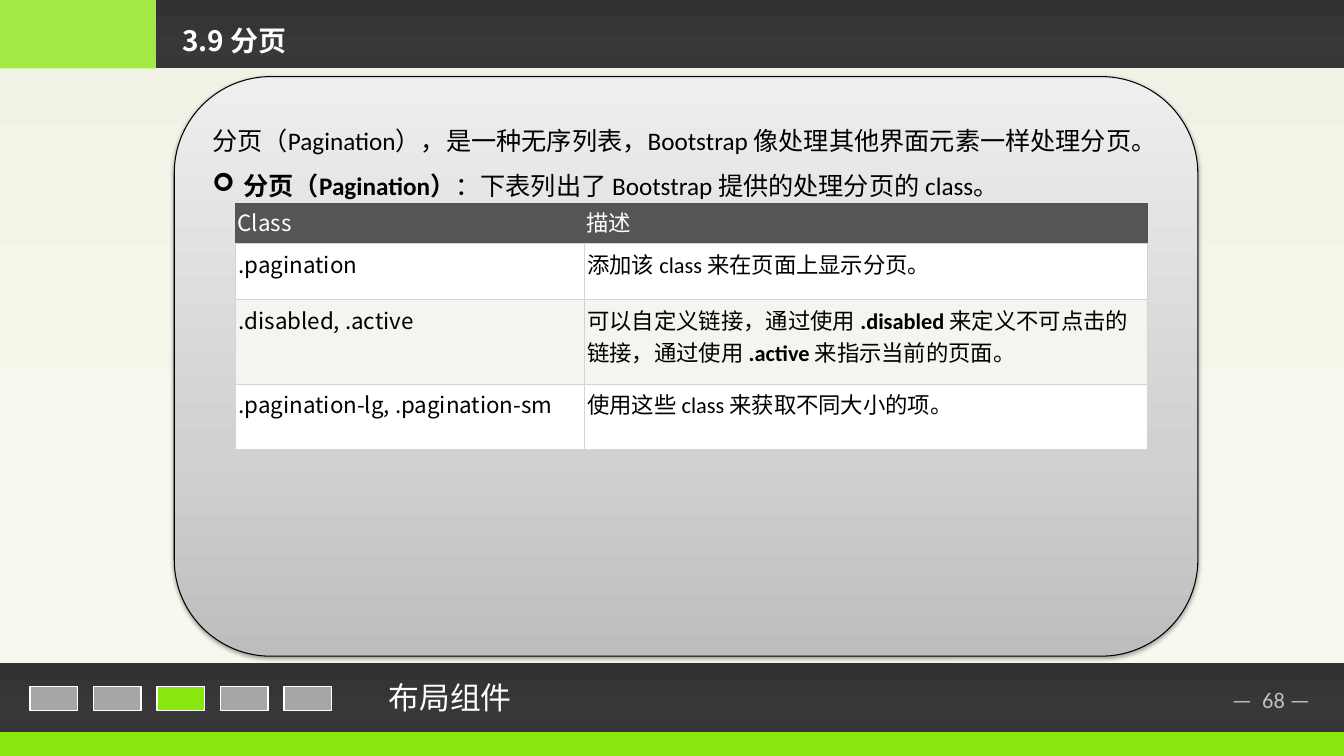
from pptx import Presentation
from pptx.dml.color import RGBColor
from pptx.enum.shapes import MSO_SHAPE
from pptx.enum.text import MSO_ANCHOR, PP_ALIGN
from pptx.oxml import parse_xml
from pptx.oxml.ns import nsdecls
from pptx.util import Inches, Pt
from lxml.etree import SubElement

NS = nsdecls("a")
A = "{http://schemas.openxmlformats.org/drawingml/2006/main}"
CALI, NOTO = "Calibri", "Noto Sans CJK SC"
LIME, GREY, WHITE, BLACK = "88E70F", "A6A6A6", "FFFFFF", "000000"
DARK = [(0, "333134"), (74, "39373A"), (83, "373538"), (100, "363436")]
CREAM = [(0, "F1F1E5"), (74, "F7F7ED"), (83, "F8F8EE"), (100, "F9F9EF")]
STEEL = [(0, "BDBDBD"), (35, "D1D1D1"), (100, "EEEEEE")]

prs = Presentation()
prs.slide_width, prs.slide_height = Inches(13.34), Inches(7.5)
slide = prs.slides.add_slide(prs.slide_layouts[6])


def block(at, fill, kind=MSO_SHAPE.RECTANGLE, angle=90, line=None, width=1.2):
    shape = slide.shapes.add_shape(kind, *map(Inches, at))
    shape.shadow.inherit = False
    if isinstance(fill, list):
        stops = "".join(f'<a:gs pos="{pos * 1000}"><a:srgbClr val="{tone}"/></a:gs>' for pos, tone in fill)
        grad = parse_xml(f'<a:gradFill {NS} rotWithShape="1"><a:gsLst>{stops}</a:gsLst>'
                         f'<a:lin ang="{angle * 60000}" scaled="0"/></a:gradFill>')
        shape._element.spPr.find(A + "prstGeom").addnext(grad)
    else:
        shape.fill.solid()
        shape.fill.fore_color.rgb = RGBColor.from_string(fill)
    if line:
        shape.line.color.rgb = RGBColor.from_string(line)
        shape.line.width = Pt(width)
    else:
        shape.line.fill.background()
    return shape


def write(para, text, size=16, font=NOTO, color=BLACK, bold=False):
    run = para.add_run()
    run.text = text
    run.font.size, run.font.bold, run.font.name = Pt(size), bold, font
    run.font.color.rgb = RGBColor.from_string(color)
    SubElement(run.font._element, A + "ea", typeface=NOTO)


block((0, 0, 13.34, 6.58), CREAM)
block((0, 7.26, 13.34, 0.24), LIME)
block((0, 6.58, 13.34, 0.68), DARK)
corner = block((0, 0, 1.55, 0.68), LIME)
tint = corner._element.spPr.find(f"{A}solidFill/{A}srgbClr")
SubElement(tint, A + "alpha", val="74000")
block((1.55, 0, 11.79, 0.68), DARK)

for step in range(5):
    block((0.3 + step * 0.63, 6.81, 0.47, 0.24), LIME if step == 2 else GREY, line=WHITE)

panel = block((1.73, 0.76, 10.16, 5.75), STEEL, MSO_SHAPE.FLOWCHART_ALTERNATE_PROCESS, 270, BLACK, 0.75)
panel._element.spPr.find(A + "effectLst").append(parse_xml(
    f'<a:outerShdw {NS} blurRad="40000" dist="20000" dir="5400000" rotWithShape="0">'
    '<a:srgbClr val="000000"><a:alpha val="38000"/></a:srgbClr></a:outerShdw>'))
frame = panel.text_frame
frame.word_wrap = True
frame.vertical_anchor = MSO_ANCHOR.TOP
intro, point = frame.paragraphs[0], frame.add_paragraph()
for para in (intro, point):
    para.alignment = PP_ALIGN.LEFT
    para.line_spacing = 1.5
props = point._p.get_or_add_pPr()
props.set("marL", str(Inches(0.31)))
props.set("indent", str(Inches(-0.31)))
SubElement(props, A + "buFont", typeface="Wingdings")
SubElement(props, A + "buChar", char="➢")
write(intro, "分页（Pagination），是一种无序列表，Bootstrap 像处理其他界面元素一样处理分页。", size=18, font=CALI)
write(point, "分页（Pagination）", size=18, font=CALI, bold=True)
write(point, "：下表列出了 Bootstrap 提供的处理分页的 class。", size=18, font=CALI)

labels = [
    ((1.71, 0.18, 4.09, 0.44), "3.9 分页", True, dict(size=20, color=WHITE, bold=True)),
    ((3.76, 6.68, 4.27, 0.47), "布局组件", True, dict(size=22, color=WHITE)),
    ((12.13, 6.76, 1.07, 0.37), "—  68 —", False, dict(font=CALI, color="BFBFBF")),
]
for at, text, wrap, style in labels:
    label = slide.shapes.add_textbox(*map(Inches, at)).text_frame
    label.word_wrap = wrap
    write(label.paragraphs[0], text, **style)

LATIN, STRONG = dict(font=CALI), dict(font=CALI, bold=True)
rows = [
    (0.4, "555555", [("Class", {})], [("描述", {})]),
    (0.55, WHITE, [(".pagination", {})],
     [("添加该 ", {}), ("class ", LATIN), ("来在页面上显示分页。", {})]),
    (0.84, "F6F4F0", [(".disabled, .active", {})],
     [("可以自定义链接，通过使用 ", {}), (".disabled ", STRONG), ("来定义不可点击的链接，通过使用 ", {}),
      (".active ", STRONG), ("来指示当前的页面。", {})]),
    (0.65, WHITE, [(".pagination-lg, .pagination-sm", {})],
     [("使用这些 ", {}), ("class ", LATIN), ("来获取不同大小的项。", {})]),
]
table = slide.shapes.add_table(4, 2, *map(Inches, (2.34, 2.02, 9.05, 2.44))).table
table.horz_banding = False
for col, width in zip(table.columns, (3.46, 5.59)):
    col.width = Inches(width)
for index, (height, fill, *cells) in enumerate(rows):
    table.rows[index].height = Inches(height)
    head = index == 0
    for col, runs in enumerate(cells):
        cell = table.cell(index, col)
        cell.margin_left = cell.margin_right = Inches(0.02 if head else 0.03)
        cell.margin_top = cell.margin_bottom = Inches(0.02 if head else 0.04)
        for side in "LRTB":
            edge = fill if head and side != "B" else "D4D4D4"
            cell._tc.get_or_add_tcPr().append(parse_xml(
                f'<a:ln{side} {NS} w="9525"><a:solidFill><a:srgbClr val="{edge}"/></a:solidFill></a:ln{side}>'))
        cell.fill.solid()
        cell.fill.fore_color.rgb = RGBColor.from_string(fill)
        for text, style in runs:
            write(cell.text_frame.paragraphs[0], text, color=WHITE if head else BLACK, **style)

prs.save("out.pptx")
